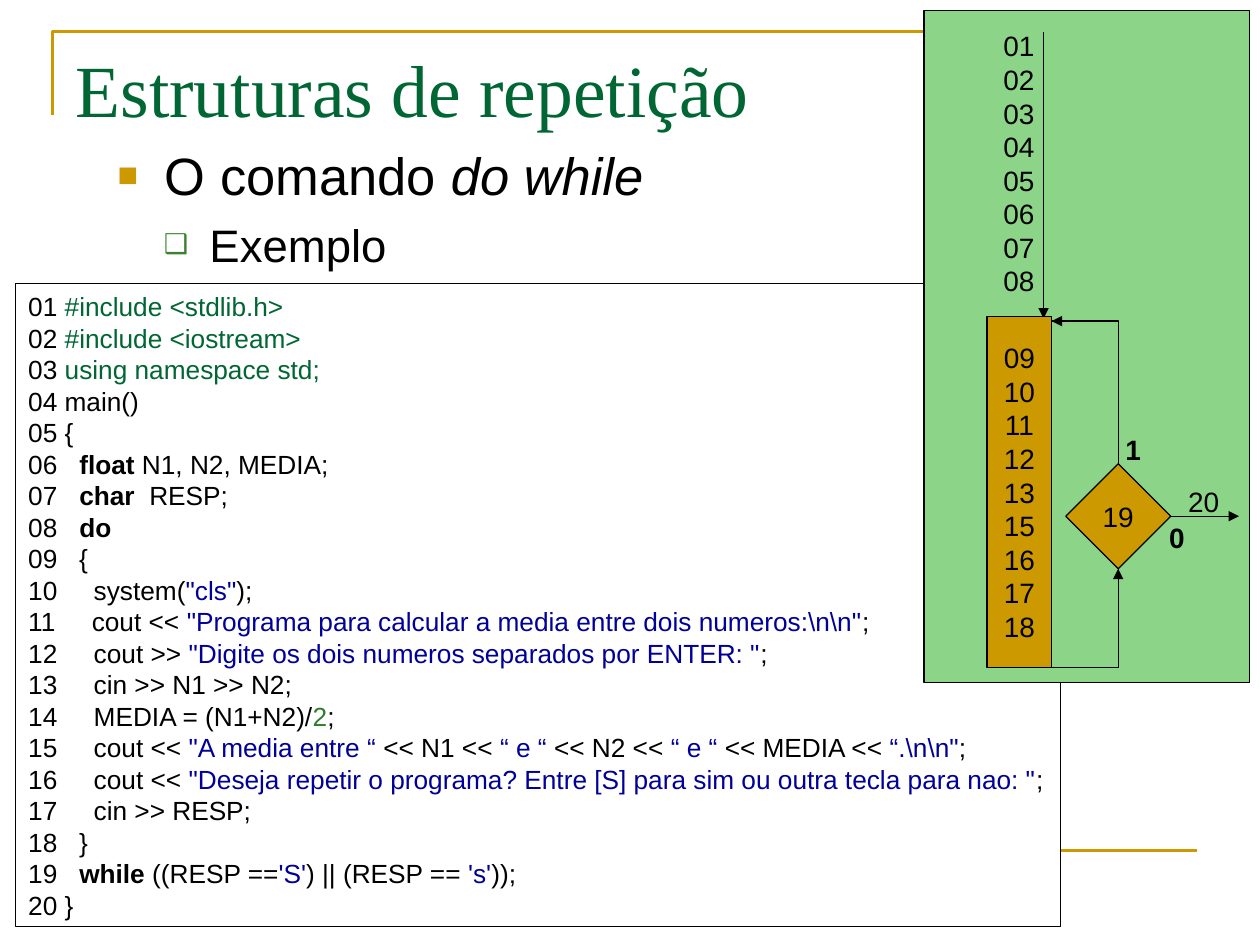
from lxml.etree import SubElement
from pptx import Presentation
from pptx.dml.color import RGBColor
from pptx.enum.shapes import MSO_CONNECTOR, MSO_SHAPE
from pptx.enum.text import MSO_ANCHOR, MSO_AUTO_SIZE, PP_ALIGN
from pptx.oxml.ns import qn
from pptx.util import Pt

COLORS = {
    "black": "000000", "white": "FFFFFF", "gold": "CC9900", "green": "006633",
    "panel": "8CD488", "string": "000099", "number": "307C2C", "check": "3B812F",
}
TITLE = "Estruturas de repetição"
BULLETS = [
    {"runs": [("O comando ", False), ("do while", True)], "size": 30, "level": 0, "before": 0,
     "margin": 27, "indent": -27, "char": "■", "color": "gold", "percent": 65},
    {"runs": [("Exemplo", False)], "size": 26, "level": 1, "before": 6.5,
     "margin": 52.5, "indent": -26, "char": "❑", "color": "check", "percent": 60},
]
CODE = [
    [("#include <stdlib.h>", "green")],
    [("#include <iostream>", "green")],
    [("using namespace std;", "green")],
    ["main()"],
    ["{"],
    ["  ", ("float", "bold"), " N1, N2, MEDIA;"],
    ["  ", ("char", "bold"), "  RESP;"],
    ["  ", ("do", "bold")],
    ["  {"],
    ["    system(", ('"cls"', "string"), ");"],
    ["    cout << ", (r'"Programa para calcular a media entre dois numeros:\n\n"', "string"), ";"],
    ["    cout >> ", ('"Digite os dois numeros separados por ENTER: "', "string"), ";"],
    ["    cin >> N1 >> N2;"],
    ["    MEDIA = (N1+N2)/", ("2", "number"), ";"],
    ["    cout << ", ('"A media entre “', "string"), " << N1 <<", (" “ e “ ", "string"),
     "<< N2 <<", (" “ e “ ", "string"), "<< MEDIA <<", (r' “.\n\n"', "string"), ";"],
    ["    cout << ",
     ('"Deseja repetir o programa? Entre [S] para sim ou outra tecla para nao: "', "string"), ";"],
    ["    cin >> RESP;"],
    ["  }"],
    ["  ", ("while", "bold"), " ((RESP ==", ("'S'", "string"), ") || (RESP == ",
     ("'s'", "string"), "));"],
    ["}"],
]
BEFORE_LOOP = ["01", "02", "03", "04", "05", "06", "07", "08"]
LOOP_BODY = ["09", "10", "11", "12", "13", "15", "16", "17", "18"]
LABELS = [
    (["0"], (661, 294, 23, 26.5), True),
    (["1"], (636, 243.5, 23, 26.5), True),
    (BEFORE_LOOP, (566.5, 13, 31.5, 161), False),
    (["20"], (672, 273.5, 31.5, 26.5), False),
]
LINE_PITCH = 1.2


def rgb(name):
    return RGBColor.from_string(COLORS[name])


def points(values):
    return [Pt(value) for value in values]


def format_paragraph(paragraph, size, color="black", name="Arial", bold=None):
    paragraph.line_spacing = Pt(size * LINE_PITCH)
    paragraph.space_before = Pt(0)
    font = paragraph.font
    font.size, font.name, font.bold = Pt(size), name, bold
    font.color.rgb = rgb(color)


def add_box(shapes, preset, frame, fill):
    shape = shapes.add_shape(preset, *points(frame))
    shape.shadow.inherit = False
    shape.fill.solid()
    shape.fill.fore_color.rgb = rgb(fill)
    shape.line.color.rgb = rgb("black")
    shape.line.width = Pt(0.75)
    return shape


def add_line(shapes, start, end, color="black", width=0.75, arrow=True):
    line = shapes.add_connector(MSO_CONNECTOR.STRAIGHT, *points(start + end))
    line.line.color.rgb = rgb(color)
    line.line.width = Pt(width)
    if arrow:
        SubElement(line.line._get_or_add_ln(), qn("a:tailEnd"), type="triangle")
    SubElement(line._element.spPr, qn("a:effectLst"))
    return line


def add_path(shapes, corners, color, width):
    builder = shapes.build_freeform(*points(corners[0]))
    builder.add_line_segments([points(corner) for corner in corners[1:]], close=False)
    shape = builder.convert_to_shape()
    shape.shadow.inherit = False
    shape.fill.background()
    shape.line.color.rgb = rgb(color)
    shape.line.width = Pt(width)


def write_numbers(shape, numbers, bold=False):
    frame = shape.text_frame
    frame.word_wrap = False
    frame.margin_left = frame.margin_right = Pt(0)
    frame.text = "\n".join(numbers)
    for paragraph in frame.paragraphs:
        paragraph.alignment = PP_ALIGN.CENTER
        format_paragraph(paragraph, 16, bold=bold)


def place(placeholder, frame):
    placeholder.left, placeholder.top, placeholder.width, placeholder.height = points(frame)
    placeholder.text_frame.auto_size = MSO_AUTO_SIZE.NONE
    placeholder.text_frame.vertical_anchor = MSO_ANCHOR.TOP
    return placeholder.text_frame


def fill_title(placeholder):
    frame = place(placeholder, (36, 21.6, 648, 90))
    frame.text = TITLE
    frame.paragraphs[0].alignment = PP_ALIGN.LEFT
    format_paragraph(frame.paragraphs[0], 42, "green", "Times New Roman")


def fill_body(placeholder):
    frame = place(placeholder, (60, 78, 660, 402))
    for index, item in enumerate(BULLETS):
        paragraph = frame.add_paragraph() if index else frame.paragraphs[0]
        paragraph.level = item["level"]
        properties = paragraph._p.get_or_add_pPr()
        properties.set("marL", str(Pt(item["margin"])))
        properties.set("indent", str(Pt(item["indent"])))
        bullet_color = SubElement(properties, qn("a:buClr"))
        SubElement(bullet_color, qn("a:srgbClr"), val=COLORS[item["color"]])
        SubElement(properties, qn("a:buSzPct"), val=str(item["percent"] * 1000))
        SubElement(properties, qn("a:buChar"), char=item["char"])
        format_paragraph(paragraph, item["size"])
        paragraph.space_before = Pt(item["before"])
        for text, italic in item["runs"]:
            run = paragraph.add_run()
            run.text = text
            if italic:
                run.font.italic = True


def add_code(shapes):
    frame = add_box(shapes, MSO_SHAPE.RECTANGLE, (9, 162, 597, 367.5), "white").text_frame
    frame.word_wrap = True
    frame.margin_top = Pt(4)
    frame.vertical_anchor = MSO_ANCHOR.TOP
    for number, parts in enumerate(CODE, 1):
        paragraph = frame.paragraphs[0] if number == 1 else frame.add_paragraph()
        paragraph.alignment = PP_ALIGN.LEFT
        format_paragraph(paragraph, 15)
        for part in [f"{number:02d} "] + parts:
            text, style = (part, None) if isinstance(part, str) else part
            run = paragraph.add_run()
            run.text = text
            if style == "bold":
                run.font.bold = True
            elif style:
                run.font.color.rgb = rgb(style)


def add_flow(shapes):
    add_box(shapes, MSO_SHAPE.RECTANGLE, (528, 6, 186, 384), "panel")
    add_line(shapes, (596.3, 18), (596.3, 182))
    for numbers, frame, bold in LABELS:
        write_numbers(shapes.add_textbox(*points(frame)), numbers, bold)
    add_path(shapes, [(579, 381.5), (639, 381.5), (639, 183.5), (579, 183.5)], "black", 0.75)
    block = add_box(shapes, MSO_SHAPE.RECTANGLE, (564, 180.8, 37, 200.7), "gold")
    write_numbers(block, LOOP_BODY)
    add_line(shapes, (613.5, 183.5), (601, 183.5))
    decision = add_box(shapes, MSO_SHAPE.DIAMOND, (609, 265, 60, 60), "gold")
    write_numbers(decision, ["19"])
    for shape in (block, decision):
        shape.text_frame.vertical_anchor = MSO_ANCHOR.MIDDLE
    add_line(shapes, (669, 295), (708, 295)).begin_connect(decision, 3)
    add_line(shapes, (639, 360), (639, 325)).end_connect(decision, 2)


def main():
    presentation = Presentation()
    presentation.slide_width, presentation.slide_height = Pt(720), Pt(540)
    slide = presentation.slides.add_slide(presentation.slide_layouts[1])
    shapes = slide.shapes
    add_path(shapes, [(30, 66), (30, 18), (678, 18)], "gold", 1.5)
    add_line(shapes, (36, 486), (684, 486), "gold", 1.5, arrow=False)
    fill_title(shapes.title)
    fill_body(slide.placeholders[1])
    add_code(shapes)
    add_flow(shapes.add_group_shape().shapes)
    presentation.save("out.pptx")


if __name__ == "__main__":
    main()
